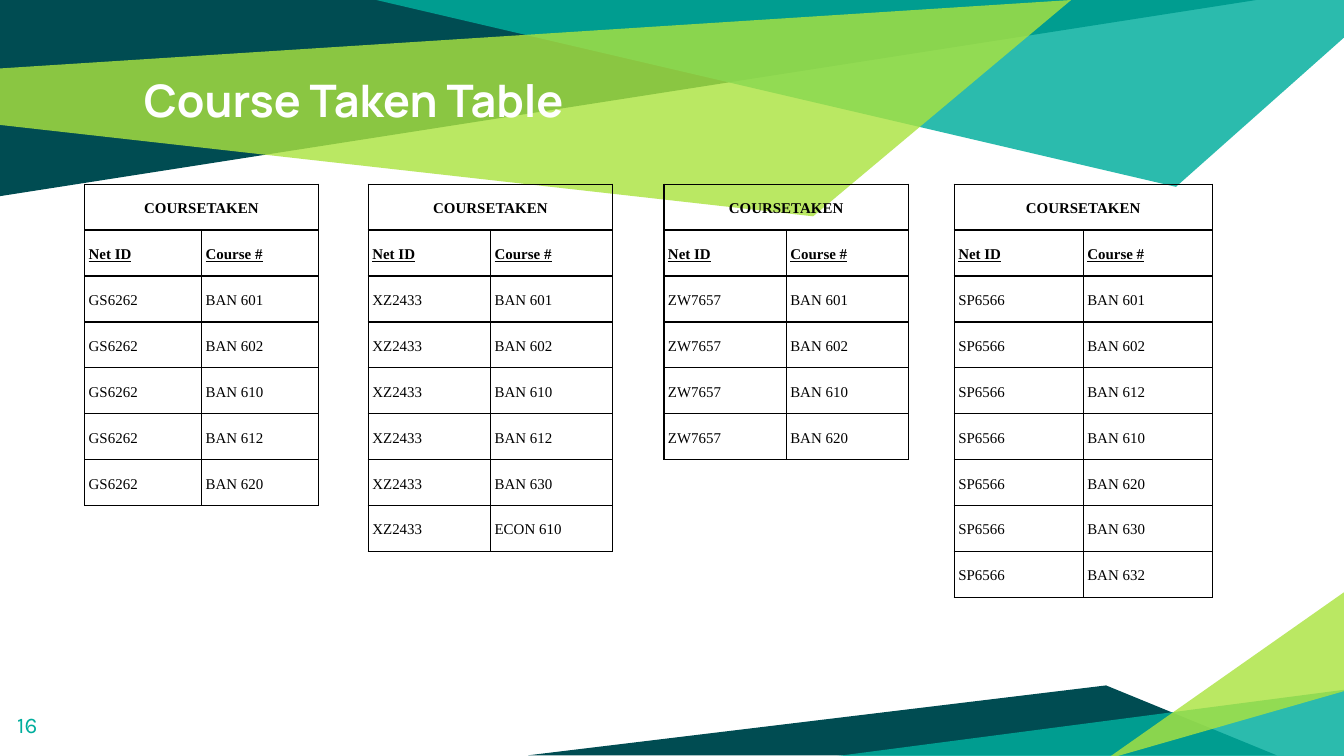
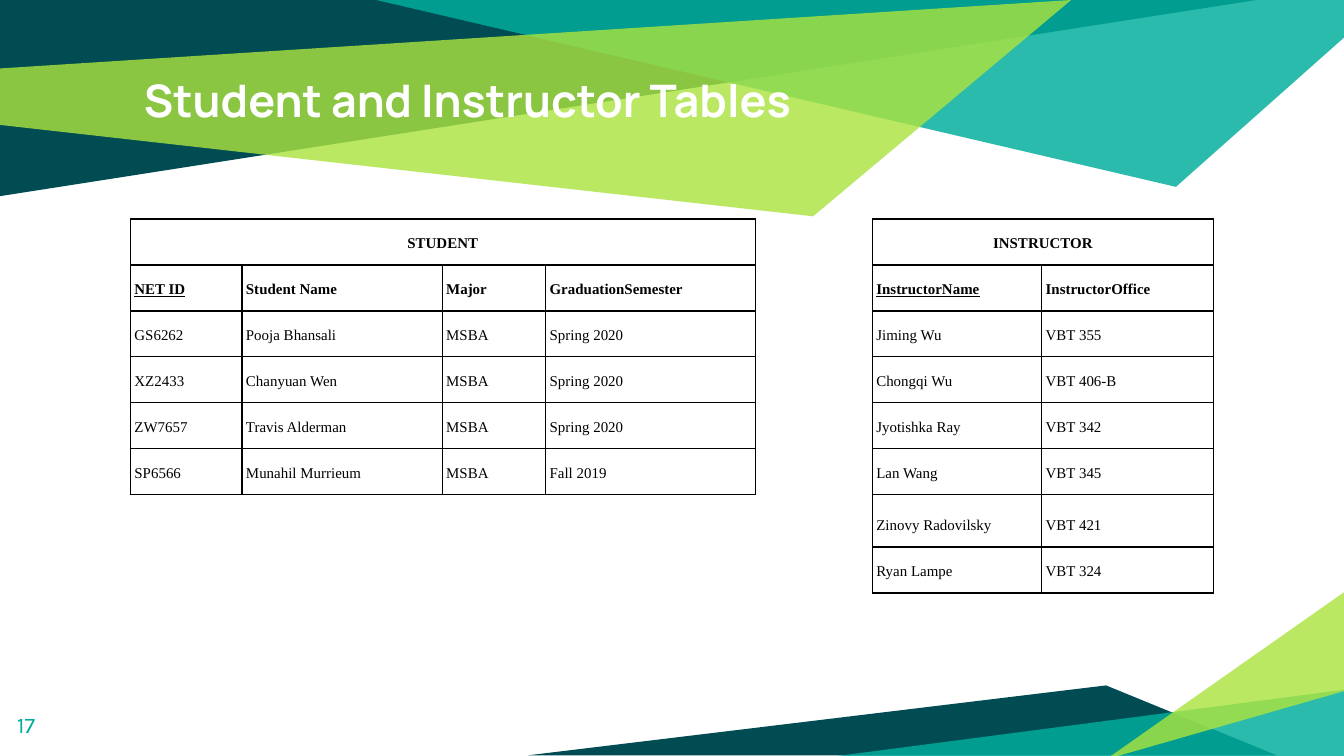
from lxml.etree import SubElement
from pptx import Presentation
from pptx.dml.color import RGBColor
from pptx.enum.text import MSO_ANCHOR as Anchor, MSO_AUTO_SIZE as AutoSize, PP_ALIGN as Align
from pptx.oxml.ns import qn
from pptx.util import Inches, Pt

# Shared style
DARK, TEAL, LIME = "004C52", "00AE9D", "ABE33F"
WHITE, BLACK = "FFFFFF", "000000"
TITLE_FONT, NUMBER_FONT, TABLE_FONT = "Manrope", "Karla", "Times New Roman"
ROW_HEIGHT = 0.34

# Bands: colour, opacity in percent, corners
BANDS = [
    (DARK, 100, [(0, 0), (0, 1.46), (9.35, 0)]),
    (TEAL, 83, [(2.8, 0), (8.75, 1.39), (10, 0.28), (10, 0)]),
    (LIME, 81, [(-0.01, 0.51), (0, 0.93), (6.05, 1.61), (7.97, 0)]),
    (DARK, 100, [(3.93, 5.62), (9.5, 5.62), (8.23, 5.1)]),
    (TEAL, 83, [(10.02, 5.13), (10.02, 5.65), (6.04, 5.65)]),
    (LIME, 81, [(10.01, 5.14), (10.01, 4.4), (8.23, 5.65)]),
]

# Courses by student: net ID, left edge, column width, courses
COURSES_TAKEN = [
    ("GS6262", 0.63, 0.87, ["BAN 601", "BAN 602", "BAN 610", "BAN 612", "BAN 620"]),
    ("XZ2433", 2.74, 0.91,
     ["BAN 601", "BAN 602", "BAN 610", "BAN 612", "BAN 630", "ECON 610"]),
    ("ZW7657", 4.94, 0.91, ["BAN 601", "BAN 602", "BAN 610", "BAN 620"]),
    ("SP6566", 7.1, 0.96,
     ["BAN 601", "BAN 602", "BAN 612", "BAN 610", "BAN 620", "BAN 630", "BAN 632"]),
]

STUDENT = {
    "name": "STUDENT", "left": 0.97, "top": 1.63, "widths": [0.83, 1.49, 0.77, 1.56],
    "fields": ["NET ID", "Student Name", "Major", "GraduationSemester"], "keys": 1,
    "records": [
        ("GS6262", "Pooja Bhansali", "MSBA", "Spring 2020"),
        ("XZ2433", "Chanyuan Wen", "MSBA", "Spring 2020"),
        ("ZW7657", "Travis Alderman", "MSBA", "Spring 2020"),
        ("SP6566", "Munahil Murrieum", "MSBA", "Fall 2019"),
    ],
}

INSTRUCTOR = {
    "name": "INSTRUCTOR", "left": 6.49, "top": 1.63, "widths": [1.26, 1.28],
    "fields": ["InstructorName", "InstructorOffice"], "keys": 1,
    "records": [
        ("Jiming Wu", "VBT 355"),
        ("Chongqi Wu", "VBT 406-B"),
        ("Jyotishka Ray", "VBT 342"),
        ("Lan Wang", "VBT 345"),
        ("Zinovy Radovilsky", "VBT 421"),
        ("Ryan Lampe", "VBT 324"),
    ],
    "tall_rows": {6: 0.39},
}


def course_taken(net_id, left, width, courses):
    return {
        "name": "COURSETAKEN", "left": left, "top": 1.37, "widths": [width] * 2,
        "fields": ["Net ID", "Course #"], "keys": 2,
        "records": [(net_id, course) for course in courses],
    }


# Slides: number, title, relations
SLIDES = [
    ("16", "Course Taken Table", [course_taken(*taken) for taken in COURSES_TAKEN]),
    ("17", "Student and Instructor Tables", [STUDENT, INSTRUCTOR]),
]


def rgb(colour):
    return RGBColor.from_string(colour)


def add_run(paragraph, text, font, size, colour, bold=False, underline=False):
    run = paragraph.add_run()
    run.text = text
    run.font.name, run.font.size = font, Pt(size)
    run.font.bold, run.font.underline = bold, underline
    run.font.color.rgb = rgb(colour)


def set_frame(frame):
    frame.word_wrap = True
    frame.auto_size = AutoSize.NONE
    frame.vertical_anchor = Anchor.TOP
    frame.margin_left = frame.margin_right = Inches(0.1)
    frame.margin_top = frame.margin_bottom = Inches(0.1)
    frame.paragraphs[0].alignment = Align.LEFT
    return frame.paragraphs[0]


def add_bands(slide, layout):
    """Draw the bands, then move them behind everything on the layout."""
    for position, (colour, opacity, corners) in enumerate(BANDS):
        points = [(Inches(x), Inches(y)) for x, y in corners]
        builder = slide.shapes.build_freeform(*points[0])
        builder.add_line_segments(points[1:], close=True)
        band = builder.convert_to_shape()
        band.shadow.inherit = False
        band.line.fill.background()
        band.fill.solid()
        band.fill.fore_color.rgb = rgb(colour)
        if opacity < 100:
            tint = next(band.element.spPr.iter(qn("a:srgbClr")))
            SubElement(tint, qn("a:alpha"), val=str(opacity * 1000))
        layout.shapes.element.insert(2 + position, band.element)


def style_cell(cell):
    cell.margin_left = cell.margin_right = Inches(0.03)
    cell.margin_top = cell.margin_bottom = Inches(0.1)
    properties = cell._tc.get_or_add_tcPr()
    for side in ("a:lnL", "a:lnR", "a:lnT", "a:lnB"):
        border = SubElement(properties, qn(side), w=str(Pt(0.75)))
        fill = SubElement(border, qn("a:solidFill"))
        SubElement(fill, qn("a:srgbClr"), val=BLACK)
    cell.fill.background()


def add_relation(slide, relation):
    widths = relation["widths"]
    rows = [[relation["name"]], relation["fields"], *relation["records"]]
    tall_rows = relation.get("tall_rows", {})
    heights = [tall_rows.get(r, ROW_HEIGHT) for r in range(len(rows))]
    table = slide.shapes.add_table(
        len(rows), len(widths), Inches(relation["left"]), Inches(relation["top"]),
        Inches(sum(widths)), Inches(sum(heights))).table
    table.first_row = table.horz_banding = False
    for column, width in zip(table.columns, widths):
        column.width = Inches(width)
    for row, height in zip(table.rows, heights):
        row.height = Inches(height)
    for cell in table.iter_cells():
        style_cell(cell)
    table.cell(0, 0).merge(table.cell(0, len(widths) - 1))

    # Row 0 is the name, row 1 the fields with the keys underlined
    for r, texts in enumerate(rows):
        for c, text in enumerate(texts):
            cell = table.cell(r, c)
            cell.vertical_anchor = Anchor.BOTTOM if r else Anchor.MIDDLE
            paragraph = cell.text_frame.paragraphs[0]
            paragraph.alignment = Align.LEFT if r else Align.CENTER
            paragraph.line_spacing = 1.15
            add_run(paragraph, text, TABLE_FONT, 8, BLACK, bold=r < 2,
                    underline=r == 1 and c < relation["keys"])


def add_slide(prs, layout, number, heading, relations):
    slide = prs.slides.add_slide(layout)
    title = slide.shapes.title
    title.left, title.top = Inches(0.97), Inches(0.44)
    title.width, title.height = Inches(8.06), Inches(0.94)
    add_run(set_frame(title.text_frame), heading, TITLE_FONT, 24, WHITE, bold=True)
    footer = slide.shapes.add_textbox(Inches(0.03), Inches(5.19), Inches(0.6), Inches(0.43))
    add_run(set_frame(footer.text_frame), number, NUMBER_FONT, 12, TEAL)
    for relation in relations:
        add_relation(slide, relation)
    return slide


def main():
    prs = Presentation()
    # Widescreen, 16:9
    prs.slide_width = Inches(10)
    prs.slide_height = prs.slide_width * 9 // 16
    layout = prs.slide_layouts.get_by_name("Title Only")
    slides = [add_slide(prs, layout, *content) for content in SLIDES]
    add_bands(slides[0], layout)
    prs.save("out.pptx")


if __name__ == "__main__":
    main()
